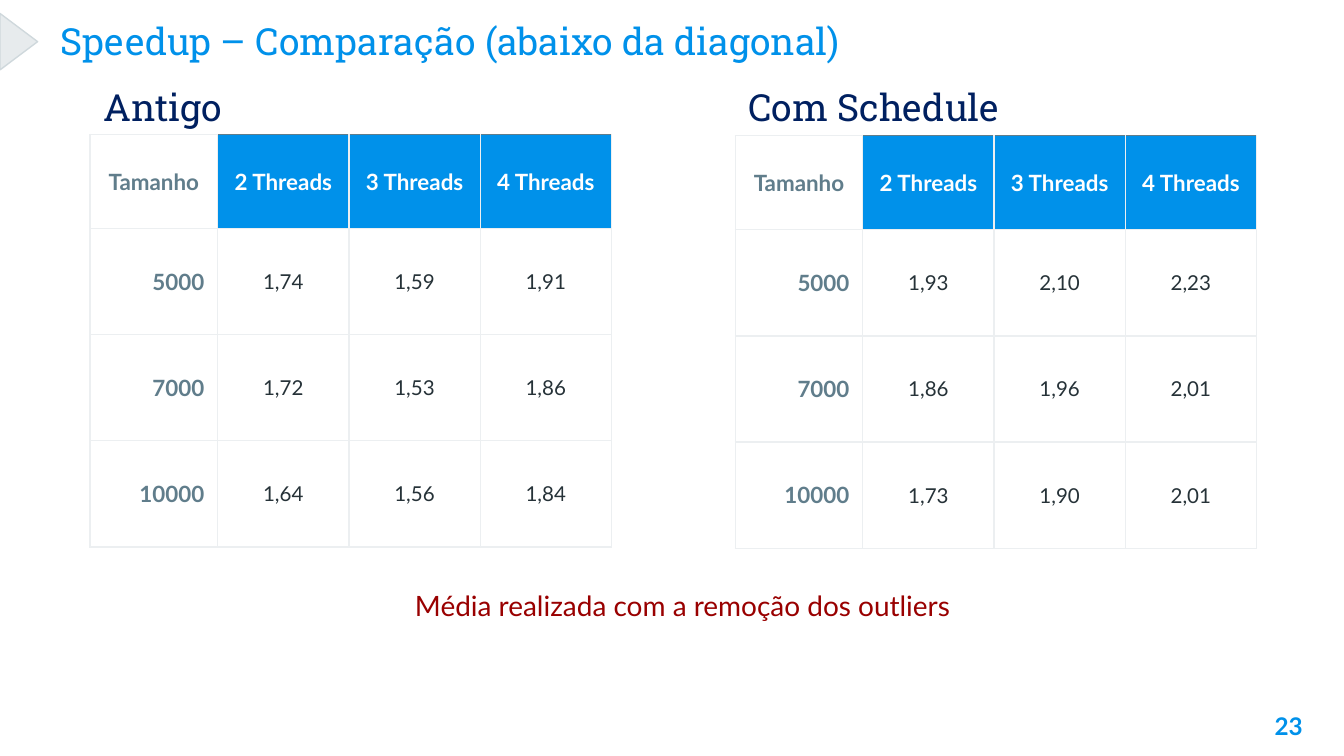
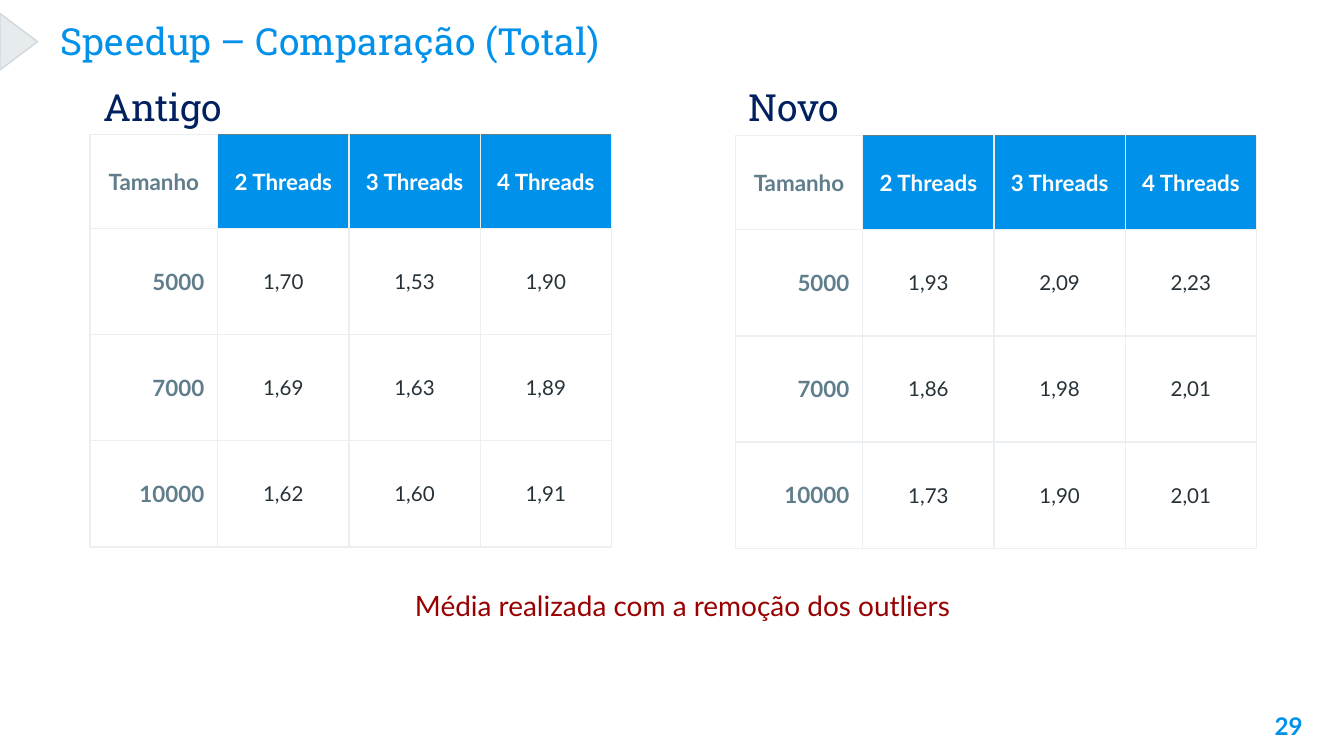
from dataclasses import dataclass

from lxml import etree
from pptx import Presentation
from pptx import util as u
from pptx.dml.color import RGBColor
from pptx.enum import shapes, text
from pptx.oxml.ns import qn


@dataclass(frozen=True)
class Theme:
    accent: str = "0091EA"
    navy: str = "002060"
    slate: str = "607D8B"
    ink: str = "263238"
    white: str = "FFFFFF"
    red: str = "990000"
    marker: str = "CFD8DC"
    grid: str = "ECEFF1"
    heading_font: str = "Roboto Slab"
    body_font: str = "Lato"
    heading_size: int = 20
    note_size: int = 15
    number_size: int = 13
    label_size: int = 12
    value_size: int = 11
    line_width: float = 0.75


theme = Theme()
LEFT, CENTER, RIGHT = text.PP_ALIGN.LEFT, text.PP_ALIGN.CENTER, text.PP_ALIGN.RIGHT
MIDDLE, TOP = text.MSO_ANCHOR.MIDDLE, text.MSO_ANCHOR.TOP


def write(frame, content, font, size, color, bold=False, align=LEFT, anchor=MIDDLE, inset=None):
    frame.word_wrap = True
    frame.vertical_anchor = anchor
    if inset is not None:
        frame.margin_left = frame.margin_right = u.Inches(inset)
        frame.margin_top = frame.margin_bottom = u.Inches(inset)
    paragraph = frame.paragraphs[0]
    paragraph.alignment = align
    run = paragraph.add_run()
    run.text = content
    run.font.name = font
    run.font.size = u.Pt(size)
    run.font.bold = bold
    run.font.color.rgb = RGBColor.from_string(color)
    return paragraph


def add_border(cell, side, color):
    properties = cell._tc.get_or_add_tcPr()
    line = etree.SubElement(properties, qn(f"a:ln{side}"), w=str(u.Pt(theme.line_width)))
    fill = etree.SubElement(line, qn("a:solidFill"))
    etree.SubElement(fill, qn("a:srgbClr"), val=color)


header = ["Tamanho", "2 Threads", "3 Threads", "4 Threads"]
sizes = ["5000", "7000", "10000"]
table_width, table_height = 3.88, 3.07
label_width, header_height = 0.95, 0.7
column_widths = [label_width] + [(table_width - label_width) / 3] * 3
row_heights = [header_height] + [(table_height - header_height) / 3] * 3
table_places = [(0.67, 1), (5.47, 1.01)]
note = "Média realizada com a remoção dos outliers"

comparisons = [
    ("23", "Speedup – Comparação (abaixo da diagonal)", [
        ("Antigo", [["1,74", "1,59", "1,91"], ["1,72", "1,53", "1,86"], ["1,64", "1,56", "1,84"]]),
        ("Com Schedule", [["1,93", "2,10", "2,23"], ["1,86", "1,96", "2,01"], ["1,73", "1,90", "2,01"]]),
    ]),
    ("29", "Speedup – Comparação (Total)", [
        ("Antigo", [["1,70", "1,53", "1,90"], ["1,69", "1,63", "1,89"], ["1,62", "1,60", "1,91"]]),
        ("Novo", [["1,93", "2,09", "2,23"], ["1,86", "1,98", "2,01"], ["1,73", "1,90", "2,01"]]),
    ]),
]

presentation = Presentation()
presentation.slide_width = u.Inches(10)
presentation.slide_height = u.Inches(10 * 9 / 16)

for number, title, results in comparisons:
    slide = presentation.slides.add_slide(presentation.slide_layouts[5])

    heading = slide.shapes.title
    heading.left, heading.top = u.Inches(0.35), u.Inches(0.08)
    heading.width, heading.height = u.Inches(6.14), u.Inches(0.44)
    write(heading.text_frame, title, theme.heading_font, theme.heading_size, theme.accent)
    heading.text_frame.auto_size = text.MSO_AUTO_SIZE.SHAPE_TO_FIT_TEXT

    number_box = slide.shapes.add_textbox(u.Inches(9.19), u.Inches(5.19), u.Inches(0.6), u.Inches(0.43))
    write(number_box.text_frame, number, theme.body_font, theme.number_size, theme.accent,
          bold=True, align=RIGHT, anchor=TOP, inset=0.1)

    marker = slide.shapes.add_shape(shapes.MSO_SHAPE.ISOSCELES_TRIANGLE,
                                    u.Inches(-0.07), u.Inches(0.17), u.Inches(0.42), u.Inches(0.28))
    marker.rotation = 90
    marker.shadow.inherit = False
    marker.fill.solid()
    marker.fill.fore_color.rgb = RGBColor.from_string(theme.marker)
    marker_color = marker.element.spPr.find(qn("a:solidFill")).find(qn("a:srgbClr"))
    etree.SubElement(marker_color, qn("a:alpha"), val="49000")
    marker.line.color.rgb = RGBColor.from_string(theme.marker)
    marker.line.width = u.Pt(theme.line_width)

    note_box = slide.shapes.add_textbox(u.Inches(1.4), u.Inches(4.28), u.Inches(7.36), u.Inches(0.36))
    paragraph = write(note_box.text_frame, note, theme.body_font, theme.note_size, theme.red,
                      align=CENTER, anchor=TOP, inset=0.1)
    paragraph.space_before = u.Pt(6)

    for (left, top), (caption, speedups) in zip(table_places, results):
        caption_box = slide.shapes.add_textbox(u.Inches(left), u.Inches(0.57), u.Inches(3.46), u.Inches(0.44))
        write(caption_box.text_frame, caption, theme.heading_font, theme.heading_size, theme.navy)
        caption_box.text_frame.auto_size = text.MSO_AUTO_SIZE.SHAPE_TO_FIT_TEXT

        rows = [header] + [[size] + values for size, values in zip(sizes, speedups)]
        table = slide.shapes.add_table(len(rows), len(header), u.Inches(left), u.Inches(top),
                                       u.Inches(table_width), u.Inches(table_height)).table
        table.first_row = table.horz_banding = False
        for column, width in zip(table.columns, column_widths):
            column.width = u.Inches(width)
        for row, height in zip(table.rows, row_heights):
            row.height = u.Inches(height)

        for row_index, row_values in enumerate(rows):
            for column_index, value in enumerate(row_values):
                cell = table.cell(row_index, column_index)
                is_label = row_index == 0 or column_index == 0
                is_thread = row_index == 0 and column_index > 0
                for side in "LRTB":
                    add_border(cell, side, theme.slate if is_thread and side == "T" else theme.grid)
                if is_thread:
                    cell.fill.solid()
                    cell.fill.fore_color.rgb = RGBColor.from_string(theme.accent)
                else:
                    cell.fill.background()
                color = theme.white if is_thread else theme.slate if is_label else theme.ink
                cell.vertical_anchor = MIDDLE
                cell.margin_left = cell.margin_right = u.Inches(0.1)
                cell.margin_top = cell.margin_bottom = u.Inches(0.1)
                write(cell.text_frame, value, theme.body_font,
                      theme.label_size if is_label else theme.value_size, color, bold=is_label,
                      align=RIGHT if row_index and not column_index else CENTER)

presentation.save("out.pptx")
